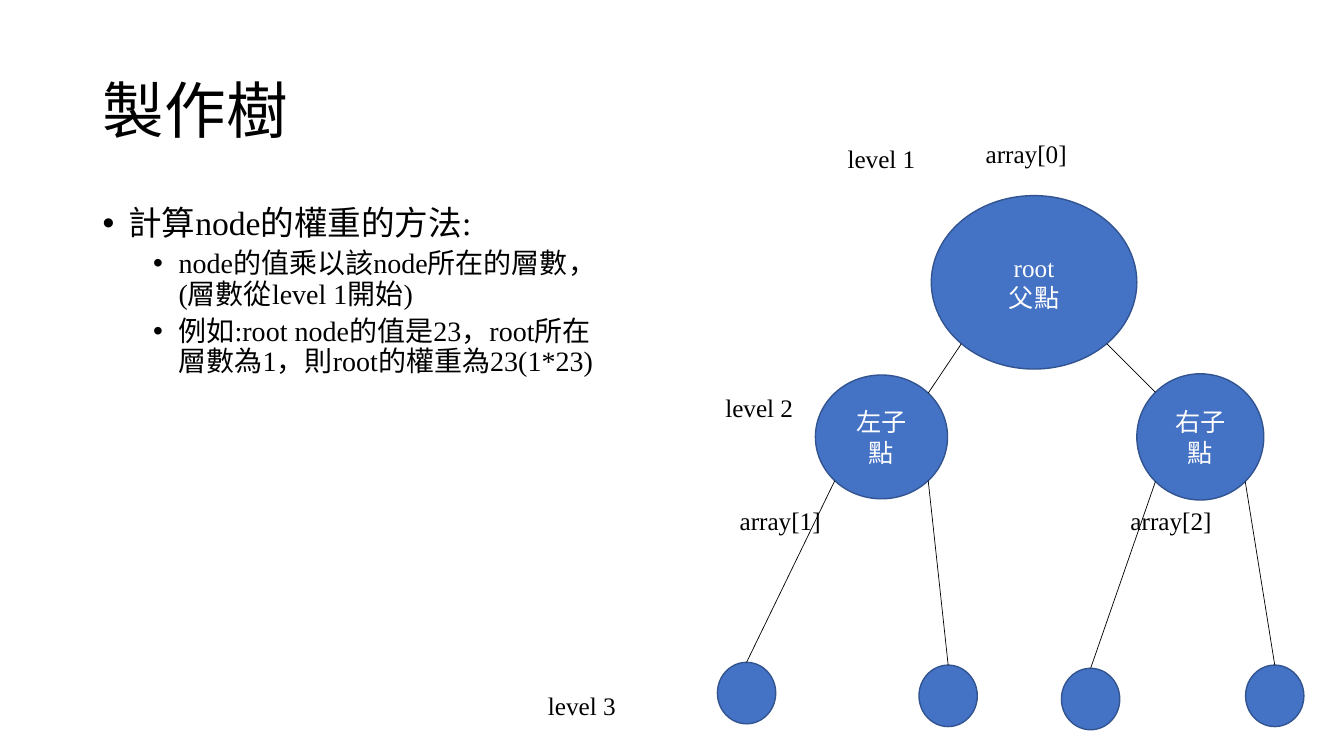
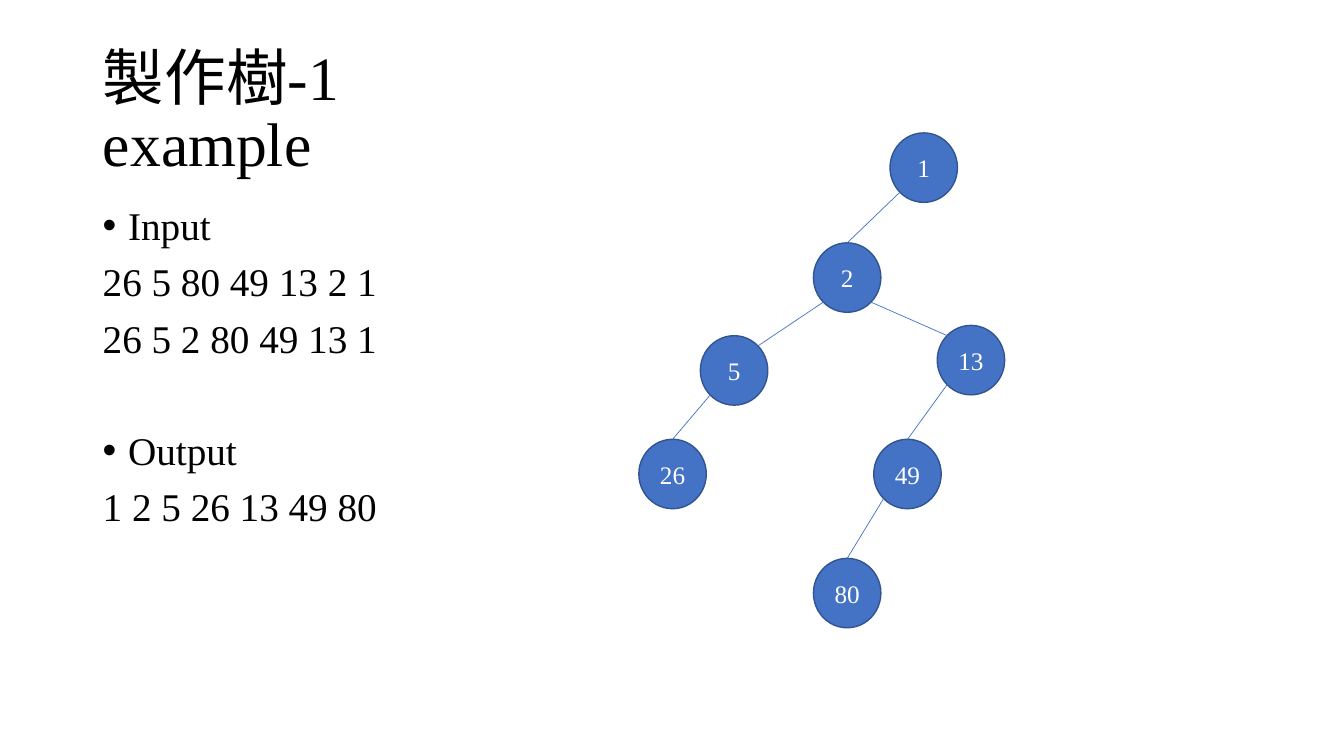
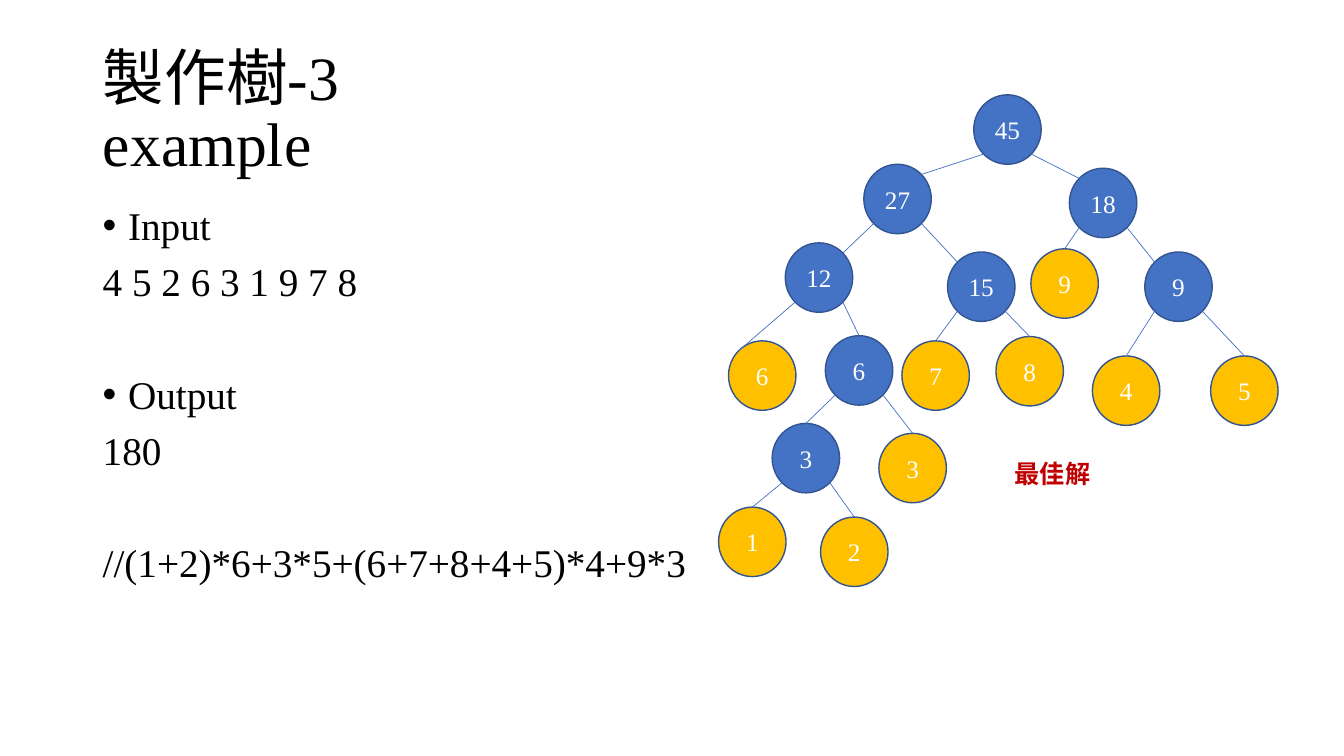
from dataclasses import dataclass
from math import sqrt

from lxml.etree import SubElement
from pptx import Presentation
from pptx.dml.color import RGBColor
from pptx.enum.shapes import MSO_CONNECTOR, MSO_SHAPE
from pptx.enum.text import MSO_ANCHOR, MSO_AUTO_SIZE, PP_ALIGN
from pptx.oxml.ns import qn
from pptx.util import Cm, Pt

FONT = "Times New Roman"
BLACK, WHITE, RED = "000000", "FFFFFF", "C00000"
BLUE, DARK_BLUE, AMBER = "4472C4", "325491", "FFC000"
MARGIN, FULL_WIDTH = 2.34, 29.21
SMALL, LEAF = (1.7, 1.75), (1.47, 1.55)
LINE_PITCH = 40  # points taken by one 28 pt line and the space before it

DIAGONAL = 1 / sqrt(2)
SITES = {
    "top": (0, -1),
    "top left": (-DIAGONAL, -DIAGONAL),
    "top right": (DIAGONAL, -DIAGONAL),
    "bottom left": (-DIAGONAL, DIAGONAL),
    "bottom right": (DIAGONAL, DIAGONAL),
}


@dataclass
class Node:
    """A tree node; site is where the edge from its parent arrives."""
    text: str
    left: float
    top: float
    parent: str = ""
    site: str = "top"
    size: tuple = SMALL


@dataclass
class Line:
    """A paragraph of body text; level 0 has no bullet."""
    text: str
    level: int = 0
    size: int = 28
    before: int = 10


WEIGHT_RULES = [
    Line("計算node的權重的方法:", 1, 24),
    Line("node的值乘以該node所在的層數，(層數從level 1開始)", 2, 20, 5),
    Line("例如:root node的值是23，root所在層數為1，則root的權重為23(1*23)", 2, 20, 5),
]
CONCEPT_TREE = {
    "root": Node("root\n父點", 23.47, 4.93, size=(5.18, 4.37)),
    "left": Node("左子點", 20.55, 9.45, "root", "top right", (3.33, 3.12)),
    "right": Node("右子點", 28.65, 9.42, "root", "top left", (3.2, 3.18)),
    "leaf 1": Node("", 18.08, 16.69, "left", size=LEAF),
    "leaf 2": Node("", 23.16, 16.76, "left", size=LEAF),
    "leaf 3": Node("", 26.75, 16.84, "right", size=LEAF),
    "leaf 4": Node("", 31.39, 16.76, "right", size=LEAF),
}
CONCEPT_LABELS = [
    ("array[0]", 24.59, 3.35),
    ("array[1]", 18.39, 12.6),
    ("array[2]", 28.24, 12.6),
    ("level 1", 21.11, 3.48),
    ("level 2", 18.03, 9.75),
    ("level 3", 13.56, 17.27),
]

FIRST_EXAMPLE = [
    Line("Input", 1),
    Line("26 5 80 49 13 2 1"),
    Line("26 5 2 80 49 13 1"),
    Line("Output", 1, before=10 + LINE_PITCH),
    Line("1 2 5 26 13 49 80"),
]
FIRST_TREE = {
    "1": Node("1", 22.43, 3.35),
    "2": Node("2", 20.5, 6.12, "1"),
    "5": Node("5", 17.65, 8.46, "2", "top right"),
    "13": Node("13", 23.62, 8.2, "2", "top left"),
    "26": Node("26", 16.1, 11.07, "5"),
    "49": Node("49", 22.02, 11.07, "13"),
    "80": Node("80", 20.5, 14.07, "49"),
}

THIRD_EXAMPLE = [
    Line("Input", 1),
    Line("4 5 2 6 3 1 9 7 8"),
    Line("Output", 1, before=10 + LINE_PITCH),
    Line("180"),
    Line("//(1+2)*6+3*5+(6+7+8+4+5)*4+9*3", before=10 + LINE_PITCH),
]
THIRD_TREE = {
    "45": Node("45", 24.54, 2.39),
    "27": Node("27", 21.77, 4.14, "45", "top right"),
    "18": Node("18", 26.95, 4.24, "45", "top left"),
    "12": Node("12", 19.79, 6.12, "27", "top right"),
    "15": Node("15", 23.88, 6.35, "27", "top left"),
    "leaf 9": Node("9", 25.98, 6.27, "18"),
    "9": Node("9", 28.85, 6.35, "18", "top left"),
    "leaf 6": Node("6", 18.36, 8.59, "12", "top left"),
    "6": Node("6", 20.8, 8.46, "12"),
    "leaf 7": Node("7", 22.73, 8.59, "15"),
    "leaf 8": Node("8", 25.1, 8.48, "15"),
    "leaf 4": Node("4", 27.53, 8.97, "9"),
    "leaf 5": Node("5", 30.51, 8.97, "9"),
    "3": Node("3", 19.46, 10.67, "6"),
    "leaf 3": Node("3", 22.15, 10.92, "6"),
    "leaf 1": Node("1", 18.11, 12.78, "3"),
    "leaf 2": Node("2", 20.68, 13.03, "3"),
}


def color(hex_text):
    return RGBColor.from_string(hex_text)


def set_font(paragraph, size, hex_text, bold=False):
    font = paragraph.font
    font.name, font.size, font.bold = FONT, Pt(size), bold
    font.color.rgb = color(hex_text)


def add_titled_slide(deck, title_text):
    slide = deck.slides.add_slide(deck.slide_layouts[5])
    title = slide.shapes.title
    title.left, title.top = Cm(MARGIN), Cm(1.02)
    title.width, title.height = Cm(FULL_WIDTH), Cm(3.68)
    frame = title.text_frame
    frame.text = title_text
    frame.auto_size = MSO_AUTO_SIZE.NONE
    frame.vertical_anchor = MSO_ANCHOR.MIDDLE
    paragraph = frame.paragraphs[0]
    paragraph.alignment = PP_ALIGN.LEFT
    paragraph.line_spacing = 0.9
    set_font(paragraph, 44, BLACK)
    return slide


def add_text_box(slide, left, top, width, height):
    box = slide.shapes.add_textbox(Cm(left), Cm(top), Cm(width), Cm(height))
    box.text_frame.word_wrap = True
    return box.text_frame


def set_bullet(paragraph, level):
    properties = paragraph._p.get_or_add_pPr()
    properties.set("marL", str(Cm(0.64 + 1.27 * (level - 1))))
    properties.set("indent", str(-Cm(0.64)))
    SubElement(properties, qn("a:buFont"), typeface="Arial")
    SubElement(properties, qn("a:buChar"), char="•")


def add_body(slide, lines, width=FULL_WIDTH):
    frame = add_text_box(slide, MARGIN, 5.08, width, 12.09)
    for index, line in enumerate(lines):
        paragraph = frame.add_paragraph() if index else frame.paragraphs[0]
        paragraph.text = line.text
        paragraph.line_spacing = 0.9
        paragraph.space_before = Pt(line.before)
        if line.level:
            set_bullet(paragraph, line.level)
        set_font(paragraph, line.size, BLACK)


def add_label(slide, text, left, top, hex_text=BLACK, bold=False):
    frame = add_text_box(slide, left, top, 3.02, 1.02)
    frame.text = text
    set_font(frame.paragraphs[0], 18, hex_text, bold)


def add_node(slide, node, fill):
    width, height = node.size
    circle = slide.shapes.add_shape(
        MSO_SHAPE.OVAL, Cm(node.left), Cm(node.top), Cm(width), Cm(height))
    circle.shadow.inherit = False
    circle.fill.solid()
    circle.fill.fore_color.rgb = color(fill)
    circle.line.color.rgb = color(DARK_BLUE)
    circle.line.width = Pt(1)
    if node.text:
        frame = circle.text_frame
        frame.text = node.text
        frame.vertical_anchor = MSO_ANCHOR.MIDDLE
        for paragraph in frame.paragraphs:
            paragraph.alignment = PP_ALIGN.CENTER
            set_font(paragraph, 18, WHITE)


def rim_point(node, site):
    """Return the point of a node's outline that the site names."""
    across, down = SITES[site]
    width, height = node.size
    return (Cm(node.left + width * (1 + across) / 2),
            Cm(node.top + height * (1 + down) / 2))


def add_edge(slide, parent, child, line_color):
    parent_center = parent.left + parent.size[0] / 2
    child_center = child.left + child.size[0] / 2
    side = "bottom left" if child_center < parent_center else "bottom right"
    edge = slide.shapes.add_connector(
        MSO_CONNECTOR.STRAIGHT,
        *rim_point(parent, side), *rim_point(child, child.site))
    edge.line.color.rgb = color(line_color)
    edge.line.width = Pt(0.5)
    SubElement(edge._element.spPr, qn("a:effectLst"))


def add_tree(slide, tree, edge_color=BLUE, leaf_fill=BLUE):
    parents = {node.parent for node in tree.values()}
    for name, node in tree.items():
        add_node(slide, node, BLUE if name in parents else leaf_fill)
        if node.parent:
            add_edge(slide, tree[node.parent], node, edge_color)


def main():
    deck = Presentation()
    deck.slide_width, deck.slide_height = Cm(33.87), Cm(19.05)

    slide = add_titled_slide(deck, "製作樹")
    add_body(slide, WEIGHT_RULES, width=13.08)
    add_tree(slide, CONCEPT_TREE, edge_color=BLACK)
    for text, left, top in CONCEPT_LABELS:
        add_label(slide, text, left, top)

    slide = add_titled_slide(deck, "製作樹-1\vexample")
    add_body(slide, FIRST_EXAMPLE)
    add_tree(slide, FIRST_TREE)

    slide = add_titled_slide(deck, "製作樹-3\vexample")
    add_body(slide, THIRD_EXAMPLE)
    add_tree(slide, THIRD_TREE, leaf_fill=AMBER)
    add_label(slide, "最佳解", 25.32, 11.43, RED, bold=True)

    deck.save("out.pptx")


if __name__ == "__main__":
    main()
